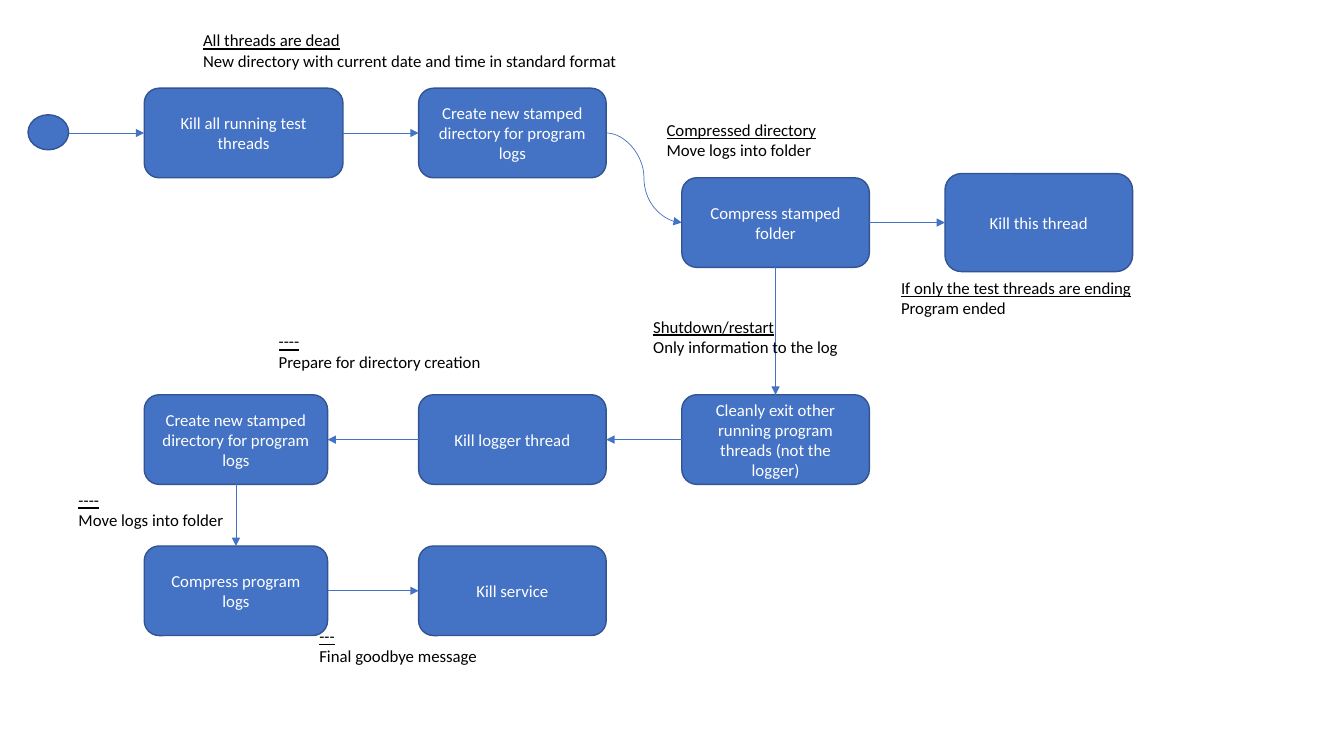
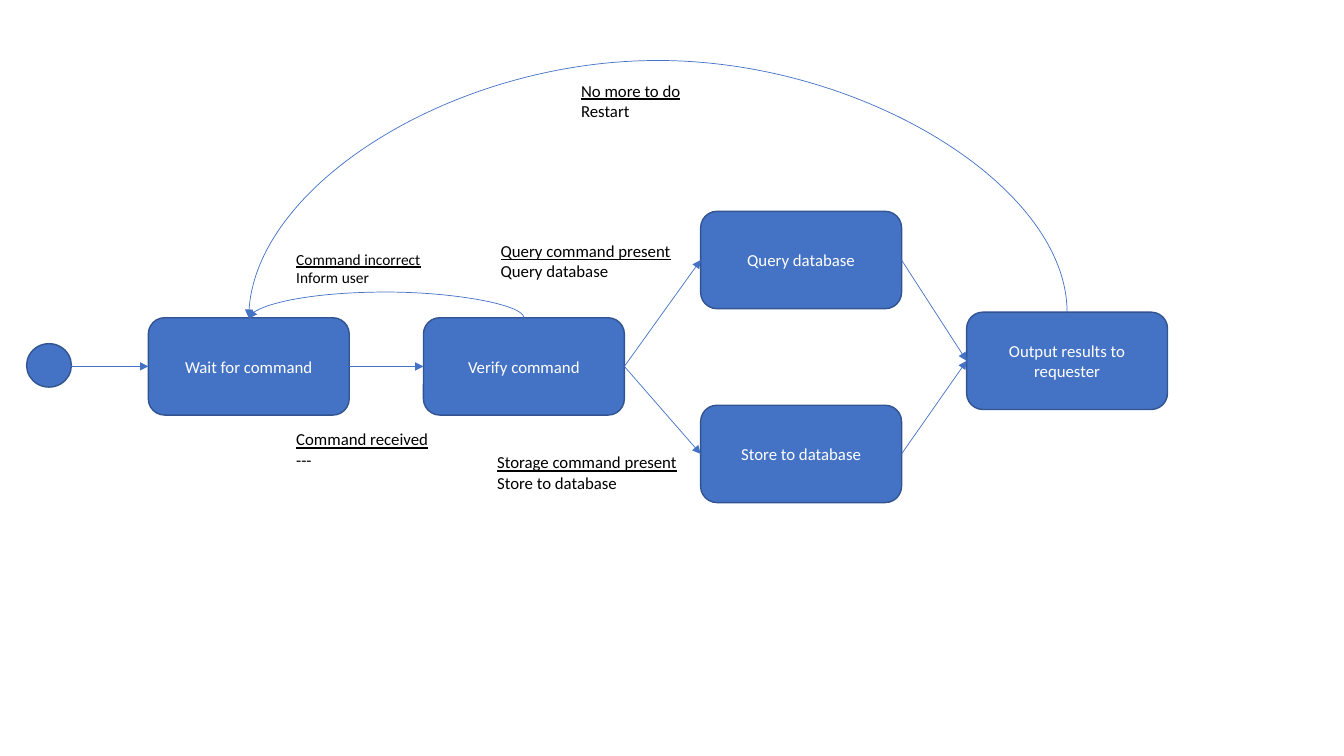
from lxml.etree import SubElement
from pptx import Presentation
from pptx.dml.color import RGBColor
from pptx.enum.shapes import MSO_CONNECTOR as Connector, MSO_SHAPE as Shape
from pptx.enum.text import MSO_ANCHOR as Anchor, PP_ALIGN as Align
from pptx.oxml.ns import qn
from pptx.util import Pt

COLORS = {"state": "4472C4", "outline": "325491", "label": "FFFFFF", "note": "000000"}
FONT = "Calibri"
TOP, LEFT, BOTTOM, RIGHT = range(4)


def color(name):
    """Return a palette colour."""
    return RGBColor.from_string(COLORS[name])


def write(paragraph, text, fill="note", size=12, underline=False, align=Align.LEFT):
    """Put formatted text into a paragraph."""
    paragraph.alignment = align
    run = paragraph.add_run()
    run.text = text
    run.font.name, run.font.size = FONT, Pt(size)
    run.font.underline = underline
    run.font.color.rgb = color(fill)


def add_node(slide, kind, left, top, width, height):
    """Draw a filled, outlined shape in the given box."""
    shape = slide.shapes.add_shape(kind, Pt(left), Pt(top), Pt(width), Pt(height))
    shape.shadow.inherit = False
    shape.fill.solid()
    shape.fill.fore_color.rgb = color("state")
    shape.line.color.rgb = color("outline")
    shape.line.width = Pt(1)
    return shape


def add_state(slide, text, left, top, width, height):
    """Draw a labelled state in the given box."""
    shape = add_node(slide, Shape.ROUNDED_RECTANGLE, left, top, width, height)
    frame = shape.text_frame
    frame.word_wrap = True
    frame.vertical_anchor = Anchor.MIDDLE
    write(frame.paragraphs[0], text, fill="label", align=Align.CENTER)
    return shape


def add_note(slide, event, action, left, top, width, size=12):
    """Write an underlined event above its action."""
    box = slide.shapes.add_textbox(Pt(left), Pt(top), Pt(width), Pt(3 * size))
    frame = box.text_frame
    frame.word_wrap = True
    write(frame.paragraphs[0], event, size=size, underline=True)
    write(frame.add_paragraph(), action, size=size)


def style_arrow(connector):
    """Give a connector its line, arrowhead and no shadow."""
    connector.line.color.rgb = color("state")
    connector.line.width = Pt(0.5)
    properties = connector.element.spPr
    SubElement(properties.find(qn("a:ln")), qn("a:tailEnd"), type="triangle")
    SubElement(properties, qn("a:effectLst"))


def add_arrow(slide, source, target, leave=RIGHT, enter=LEFT, kind=Connector.STRAIGHT):
    """Join two states at the given sides."""
    connector = slide.shapes.add_connector(kind, 0, 0, 0, 0)
    connector.begin_connect(source, leave)
    connector.end_connect(target, enter)
    style_arrow(connector)


def add_start(slide, target, left, top, width, height):
    """Draw the start circle and its arrow to the first state."""
    circle = add_node(slide, Shape.OVAL, left, top, width, height)
    middle = target.top + target.height // 2
    connector = slide.shapes.add_connector(
        Connector.STRAIGHT, circle.left + circle.width, middle, target.left, middle)
    connector.end_connect(target, LEFT)
    style_arrow(connector)


def add_loop(slide, source, target, peak):
    """Arch from the top of one state back to the top of an earlier one."""
    connector = slide.shapes.add_connector(Connector.CURVE, 0, 0, 0, 0)
    connector.begin_connect(source, TOP)
    connector.end_connect(target, TOP)
    start = source.left + source.width // 2
    end = target.left + target.width // 2
    drop = max(target.top - source.top, Pt(0.5))
    span = start - end
    connector.left = (start + end - drop) // 2
    connector.top = source.top + (drop - span) // 2
    connector.width, connector.height = drop, span
    frame = connector.element.spPr.find(qn("a:xfrm"))
    for name, value in (("rot", "16200000"), ("flipH", "1"), ("flipV", "1")):
        frame.set(name, value)
    geometry = connector.element.spPr.find(qn("a:prstGeom"))
    guides = geometry.find(qn("a:avLst"))
    bend = round((Pt(peak) - source.top) / drop * 100000)
    SubElement(guides, qn("a:gd"), name="adj1", fmla=f"val {bend}")
    style_arrow(connector)


def shutdown_flow(slide, left, top):
    """Draw the shutdown states from the corner of the first one."""
    height, width, gap = 64, 134, 54
    first_width, lower_width = 142, 131
    second = left + first_width + gap
    third, fourth = (second + step * (width + gap) for step in (1, 2))
    middle, bottom = top + 219, top + 327

    kill_tests = add_state(slide, "Kill all running test threads", left, top, first_width, height)
    stamp = "Create new stamped directory for program logs"
    create = add_state(slide, stamp, second, top, width, height)
    compress = add_state(slide, "Compress stamped folder", third, top + height, width, height)
    kill_this = add_state(slide, "Kill this thread", fourth, top + height - 3, width, height + 6)
    clean_exit = add_state(
        slide, "Cleanly exit other running program threads (not the logger)",
        third, middle, width, height)
    kill_logger = add_state(slide, "Kill logger thread", second, middle, width, height)
    create_last = add_state(slide, stamp, left, middle, lower_width, height)
    compress_logs = add_state(slide, "Compress program logs", left, bottom, lower_width, height)
    kill_service = add_state(slide, "Kill service", second, bottom, width, height)

    add_start(slide, kill_tests, left - 83, top + 19, 29, 25)
    add_arrow(slide, kill_tests, create)
    add_arrow(slide, create, compress, kind=Connector.CURVE)
    add_arrow(slide, compress, kill_this)
    add_arrow(slide, compress, clean_exit, BOTTOM, TOP)
    add_arrow(slide, clean_exit, kill_logger, LEFT, RIGHT)
    add_arrow(slide, kill_logger, create_last, LEFT, RIGHT)
    add_arrow(slide, create_last, compress_logs, BOTTOM, TOP)
    add_arrow(slide, compress_logs, kill_service)

    for event, action, across, down, note_width in (
        ("All threads are dead", "New directory with current date and time in standard format",
         35, -45, 330),
        ("Compressed directory", "Move logs into folder", 366, 19, 198),
        ("If only the test threads are ending", "Program ended", 533.5, 132, 181),
        ("Shutdown/restart", "Only information to the log", 356.5, 159.5, 160),
        ("----", "Prepare for directory creation", 89, 170, 160),
        ("----", "Move logs into folder", -54, 283, 160),
        ("---", "Final goodbye message", 118, 380.5, 171),
    ):
        add_note(slide, event, action, left + across, top + down, note_width)


def command_flow(slide, left, top):
    """Draw the command states from the corner of the first one."""
    wait, verify, query, store, output = (
        add_state(slide, text, left + across, top + down, 143.5, 69.5)
        for text, across, down in (
            ("Wait for command", 0, 0),
            ("Verify command", 196.5, 0),
            ("Query database", 394.5, -76),
            ("Store to database", 394.5, 62.5),
            ("Output results to requester", 584.5, -4),
        ))

    add_start(slide, wait, left - 87, top + 18.5, 32, 31)
    add_arrow(slide, wait, verify)
    for database in (query, store):
        add_arrow(slide, verify, database)
        add_arrow(slide, database, output)
    add_loop(slide, verify, wait, top - 18)
    add_loop(slide, output, wait, top - 184)

    for event, action, across, down, width, size in (
        ("Command incorrect", "Inform user", 98.5, -52, 143, 11),
        ("Command received", "---", 98.5, 76, 155, 12),
        ("Query command present", "Query database", 244.5, -58.5, 150, 12),
        ("Storage command present", "Store to database", 242, 92.5, 150, 12),
        ("No more to do", "Restart", 302, -173, 150, 12),
    ):
        add_note(slide, event, action, left + across, top + down, width, size)


def main():
    """Build and save the presentation."""
    presentation = Presentation()
    presentation.slide_width, presentation.slide_height = Pt(960), Pt(540)
    blank = presentation.slide_layouts[6]
    shutdown_flow(presentation.slides.add_slide(blank), 103, 63)
    command_flow(presentation.slides.add_slide(blank), 106, 227)
    presentation.save("out.pptx")


main()
